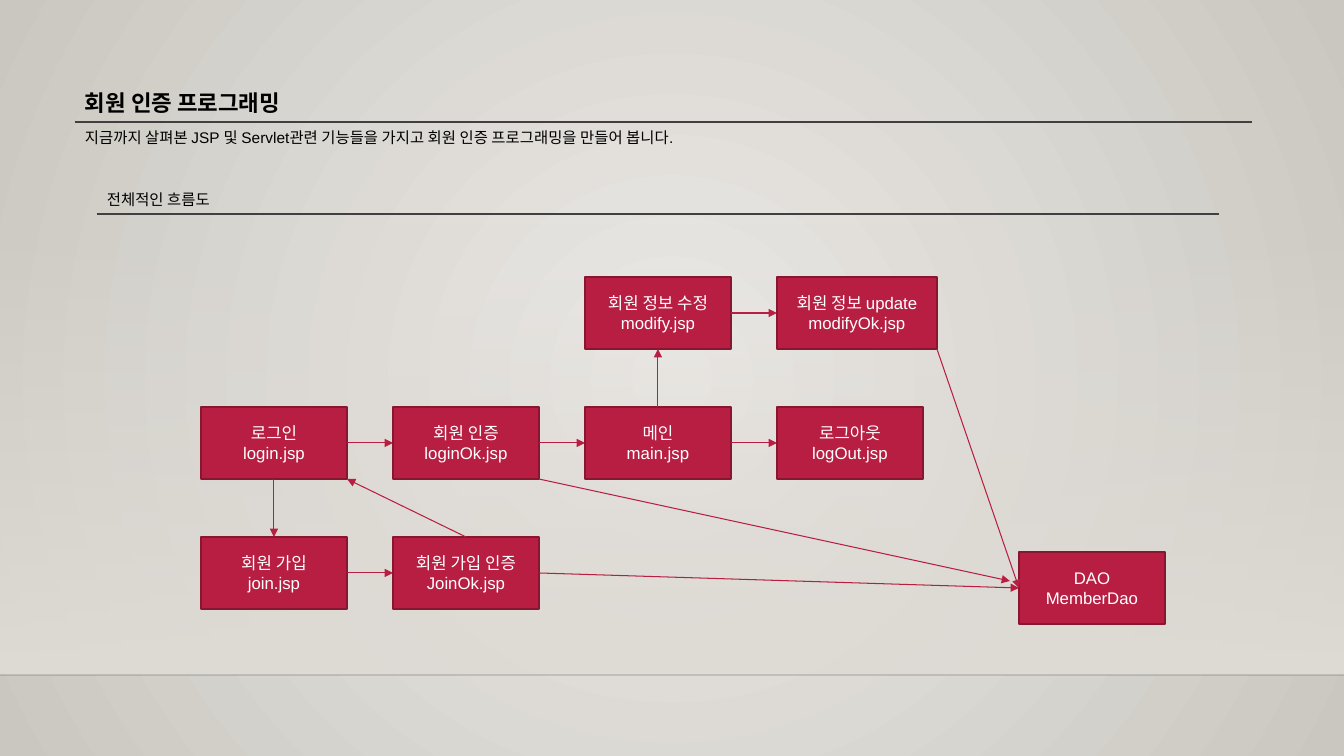
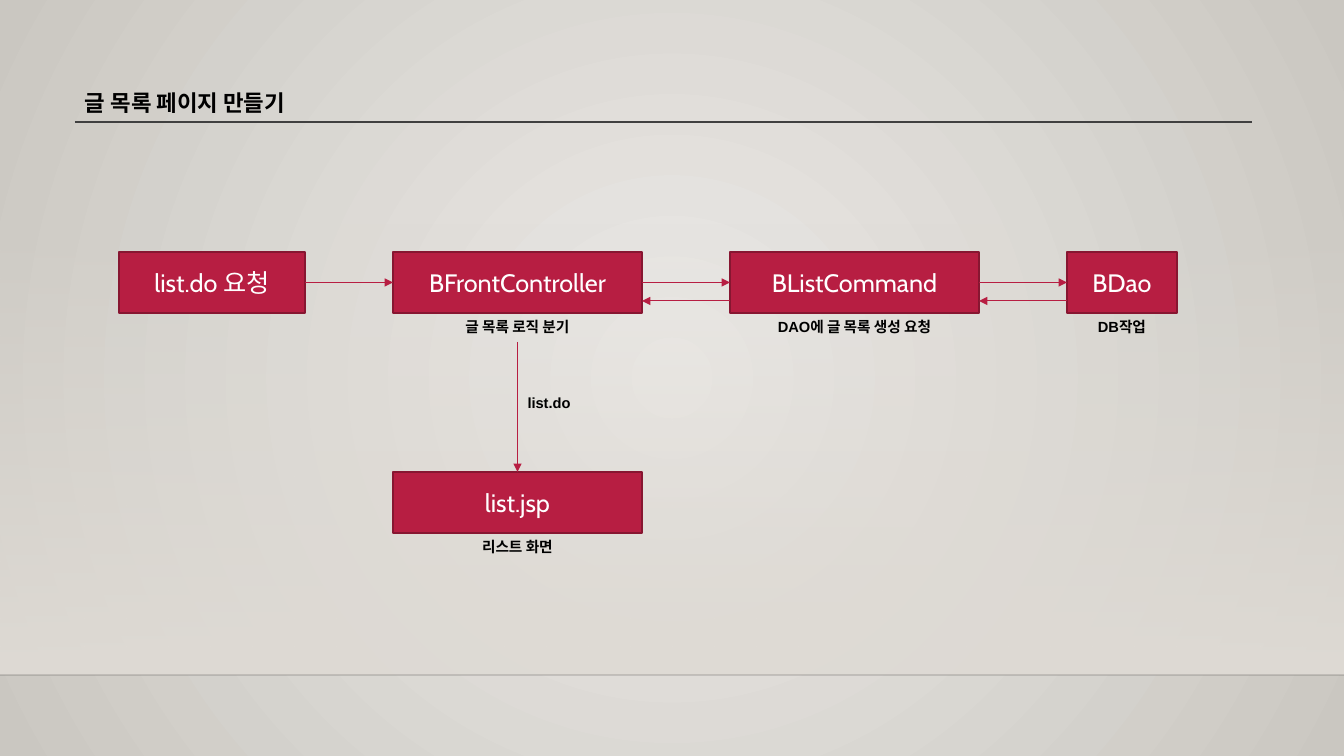
"""Build two flow-diagram slides on member authentication and a post list page."""
from lxml import etree
from pptx import Presentation
from pptx.dml.color import RGBColor
from pptx.enum.shapes import MSO_CONNECTOR, MSO_SHAPE
from pptx.enum.text import MSO_ANCHOR, MSO_AUTO_SIZE, PP_ALIGN
from pptx.oxml.ns import qn
from pptx.util import Pt

STRAIGHT, RECT = MSO_CONNECTOR.STRAIGHT, MSO_SHAPE.RECTANGLE
MIDDLE, GROW = MSO_ANCHOR.MIDDLE, MSO_AUTO_SIZE.SHAPE_TO_FIT_TEXT
LEFT_ALIGN, CENTER = PP_ALIGN.LEFT, PP_ALIGN.CENTER
TOP, LEFT, BOTTOM, RIGHT, CORNER = range(5)

WIDTH, HEIGHT = 1344, 756
SCALE = 12192000 / WIDTH
COLORS = {
    "glow": "ECEAE7", "edge": "CAC7C1", "band": "DFDBD5", "floor": "000001",
    "rule": "404040", "text": "000000", "box": "B71E42", "border": "871631",
    "white": "FFFFFF",
}
FORMATS = {
    "title": {"name": "Arial", "size": Pt(16), "bold": True},
    "body": {"name": "Arial", "size": Pt(11), "bold": False},
    "caption": {"name": "Arial", "size": Pt(10.5), "bold": True},
    "page": {"name": "Arial", "size": Pt(12), "bold": False},
    "class": {"name": "Cabin", "size": Pt(18), "bold": False},
}

AUTH_TITLE = "회원 인증 프로그래밍"
AUTH_INTRO = "지금까지 살펴본 JSP 및 Servlet관련 기능들을 가지고 회원 인증 프로그래밍을 만들어 봅니다."
AUTH_HEADING = "전체적인 흐름도"
PAGES = [
    ("modify", 2, 0, 146, ["회원 정보 수정", "modify.jsp"]),
    ("modifyOk", 3, 0, 160, ["회원 정보 update", "modifyOk.jsp"]),
    ("login", 0, 1, 146, ["로그인", "login.jsp"]),
    ("loginOk", 1, 1, 146, ["회원 인증", "loginOk.jsp"]),
    ("main", 2, 1, 146, ["메인", "main.jsp"]),
    ("logOut", 3, 1, 146, ["로그아웃", "logOut.jsp"]),
    ("join", 0, 2, 146, ["회원 가입", "join.jsp"]),
    ("joinOk", 1, 2, 146, ["회원 가입 인증", "JoinOk.jsp"]),
]
DAO_LINES = ["DAO", "MemberDao"]
PAGE_FLOW = [
    ("login", RIGHT, "loginOk", LEFT),
    ("loginOk", RIGHT, "main", LEFT),
    ("main", RIGHT, "logOut", LEFT),
    ("login", BOTTOM, "join", TOP),
    ("join", RIGHT, "joinOk", LEFT),
    ("joinOk", TOP, "login", CORNER),
    ("main", TOP, "modify", BOTTOM),
    ("modify", RIGHT, "modifyOk", LEFT),
    ("modifyOk", CORNER, "dao", LEFT),
    ("joinOk", RIGHT, "dao", LEFT),
]

LIST_TITLE = "글 목록 페이지 만들기"
CHAIN = [
    ("list.do 요청", 186, None),
    ("BFrontController", 249, "글 목록 로직 분기"),
    ("BListCommand", 249, "DAO에 글 목록 생성 요청"),
    ("BDao", 110, "DB작업"),
]
VIEW, VIEW_CAPTION, FORWARD_LABEL = "list.jsp", "리스트 화면", "list.do"


def px(n):
    return round(n * SCALE)


def rgb(name):
    return RGBColor.from_string(COLORS[name])


def set_gradient(fill, *names):
    fill.gradient()
    for stop, name in zip(fill.gradient_stops, names):
        stop.color.rgb = rgb(name)


def set_alpha(color, percent):
    etree.SubElement(color, qn("a:alpha"), val=str(percent * 1000))


def set_text(tf, lines, fmt, color, align):
    tf.word_wrap = True
    for i, line in enumerate(lines):
        p = tf.add_paragraph() if i else tf.paragraphs[0]
        p.alignment = align
        r = p.add_run()
        r.text = line
        r.font.color.rgb = rgb(color)
        for key, value in FORMATS[fmt].items():
            setattr(r.font, key, value)


def add_label(s, x, y, w, h, text, fmt, align=LEFT_ALIGN):
    sp = s.shapes.add_textbox(*map(px, (x, y, w, h)))
    set_text(sp.text_frame, [text], fmt, "text", align)
    sp.text_frame.auto_size = GROW
    return sp


def add_box(s, x, y, w, h, lines, fmt):
    sp = s.shapes.add_shape(RECT, *map(px, (x, y, w, h)))
    sp.shadow.inherit = False
    sp.fill.solid()
    sp.fill.fore_color.rgb = rgb("box")
    sp.line.color.rgb = rgb("border")
    sp.line.width = Pt(1.25)
    sp.text_frame.vertical_anchor = MIDDLE
    set_text(sp.text_frame, lines, fmt, "white", CENTER)
    return sp


def add_line(s, x1, y1, x2, y2, color="rule", width=1):
    c = s.shapes.add_connector(STRAIGHT, *map(px, (x1, y1, x2, y2)))
    c.line.color.rgb = rgb(color)
    c.line.width = Pt(width)
    etree.SubElement(c._element.spPr, qn("a:effectLst"))
    return c


def add_arrow(s, x1=0, y1=0, x2=0, y2=0):
    c = add_line(s, x1, y1, x2, y2, "box", 0.75)
    etree.SubElement(c.line._get_or_add_ln(), qn("a:tailEnd"), type="triangle")
    return c


def corner(sp):
    return (sp.left + sp.width, sp.top + sp.height)


def link(s, start, start_site, end, end_site):
    c = add_arrow(s)
    if start_site == CORNER:
        c.begin_x, c.begin_y = corner(start)
    else:
        c.begin_connect(start, start_site)
    if end_site == CORNER:
        c.end_x, c.end_y = corner(end)
    else:
        c.end_connect(end, end_site)


def set_background(master):
    set_gradient(master.background.fill, "glow", "edge")
    grad = next(master._element.iter(qn("a:gradFill")))
    grad.remove(grad.find(qn("a:lin")))
    circle = etree.SubElement(grad, qn("a:path"), path="circle")
    sides = dict.fromkeys("ltrb", "50000")
    etree.SubElement(circle, qn("a:fillToRect"), **sides)


def new_slide(prs, title):
    s = prs.slides.add_slide(prs.slide_layouts[6])
    band = s.shapes.add_shape(RECT, 0, px(223), px(WIDTH), px(452))
    band.shadow.inherit = False
    band.line.fill.background()
    set_gradient(band.fill, "band", "band")
    band.fill.gradient_angle = 270
    set_alpha(next(band._element.spPr.iter(qn("a:srgbClr"))), 0)
    floor = add_line(s, 0, 675, WIDTH, 675, "floor")
    set_alpha(next(floor._element.spPr.iter(qn("a:srgbClr"))), 20)
    add_label(s, 75, 84, 1177, 37, title, "title")
    add_line(s, 75, 122, 1252, 122)
    return s


def build_auth(prs):
    s = new_slide(prs, AUTH_TITLE)
    add_label(s, 75, 123, 1177, 29, AUTH_INTRO, "body")
    add_line(s, 97, 214, 1219, 214)
    add_label(s, 97, 185, 1122, 29, AUTH_HEADING, "body")
    boxes = {
        key: add_box(s, 201 + 192 * col, 277 + 130 * row, w, 72, lines, "page")
        for key, col, row, w, lines in PAGES
    }
    boxes["dao"] = add_box(s, 1019, 552, 146, 72, DAO_LINES, "page")
    for start, start_site, end, end_site in PAGE_FLOW:
        link(s, boxes[start], start_site, boxes[end], end_site)
    add_arrow(s, 539, 479, 1010, 581)


def build_list(prs):
    s = new_slide(prs, LIST_TITLE)
    x, y, h, gap, caption_h = 119, 252, 61, 88, 29
    boxes, captions = [], []
    for i, (name, w, caption) in enumerate(CHAIN):
        boxes.append(add_box(s, x, y, w, h, [name], "class"))
        if caption:
            captions.append(
                add_label(s, x, y + h, w, caption_h, caption, "caption", CENTER))
        if i:
            link(s, boxes[i - 1], RIGHT, boxes[i], LEFT)
        if i > 1:
            add_arrow(s, x, 301, x - gap, 301)
        x += w + gap
    view_x, view_y, view_w = 393, 472, 249
    view = add_box(s, view_x, view_y, view_w, h, [VIEW], "class")
    add_label(s, view_x, view_y + h, view_w, caption_h, VIEW_CAPTION, "caption", CENTER)
    link(s, captions[0], BOTTOM, view, TOP)
    add_label(s, 507, 389, 84, 28, FORWARD_LABEL, "caption", CENTER)


def main():
    prs = Presentation()
    prs.slide_width, prs.slide_height = px(WIDTH), px(HEIGHT)
    set_background(prs.slide_master)
    build_auth(prs)
    build_list(prs)
    prs.save("out.pptx")


if __name__ == "__main__":
    main()
